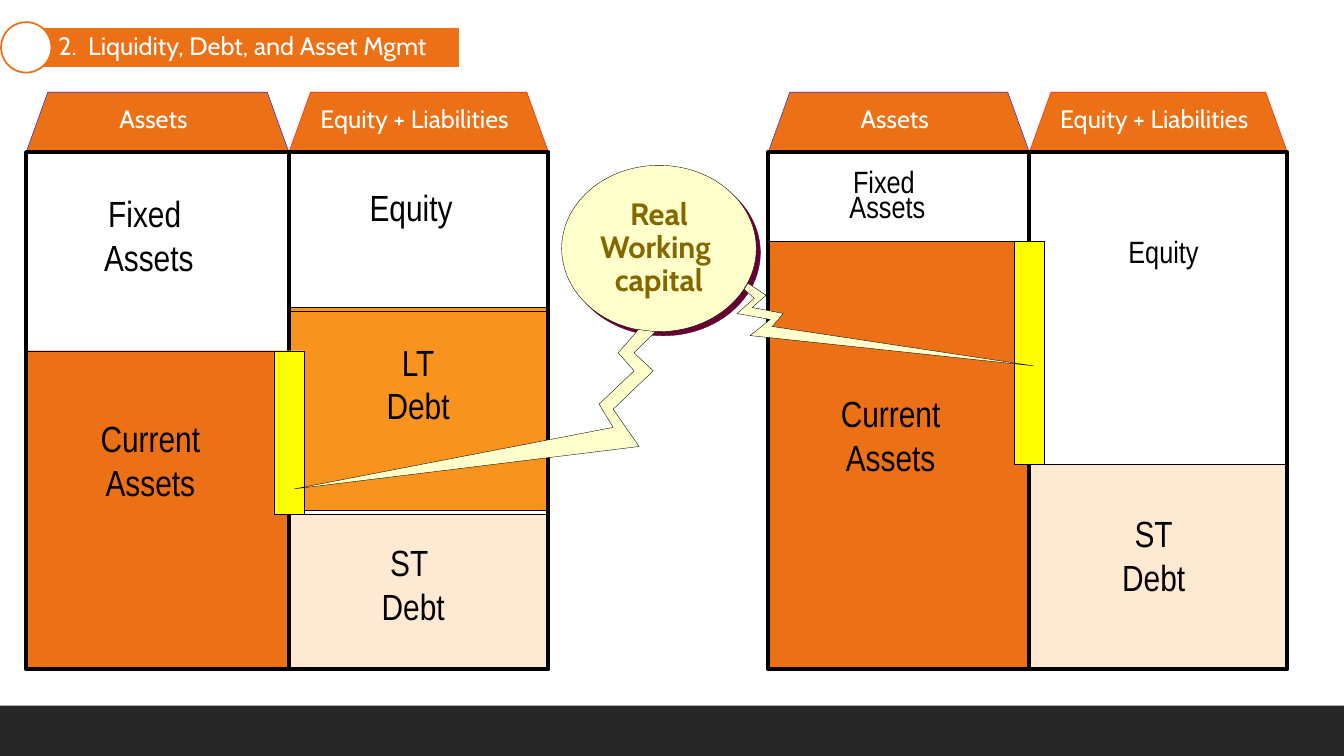
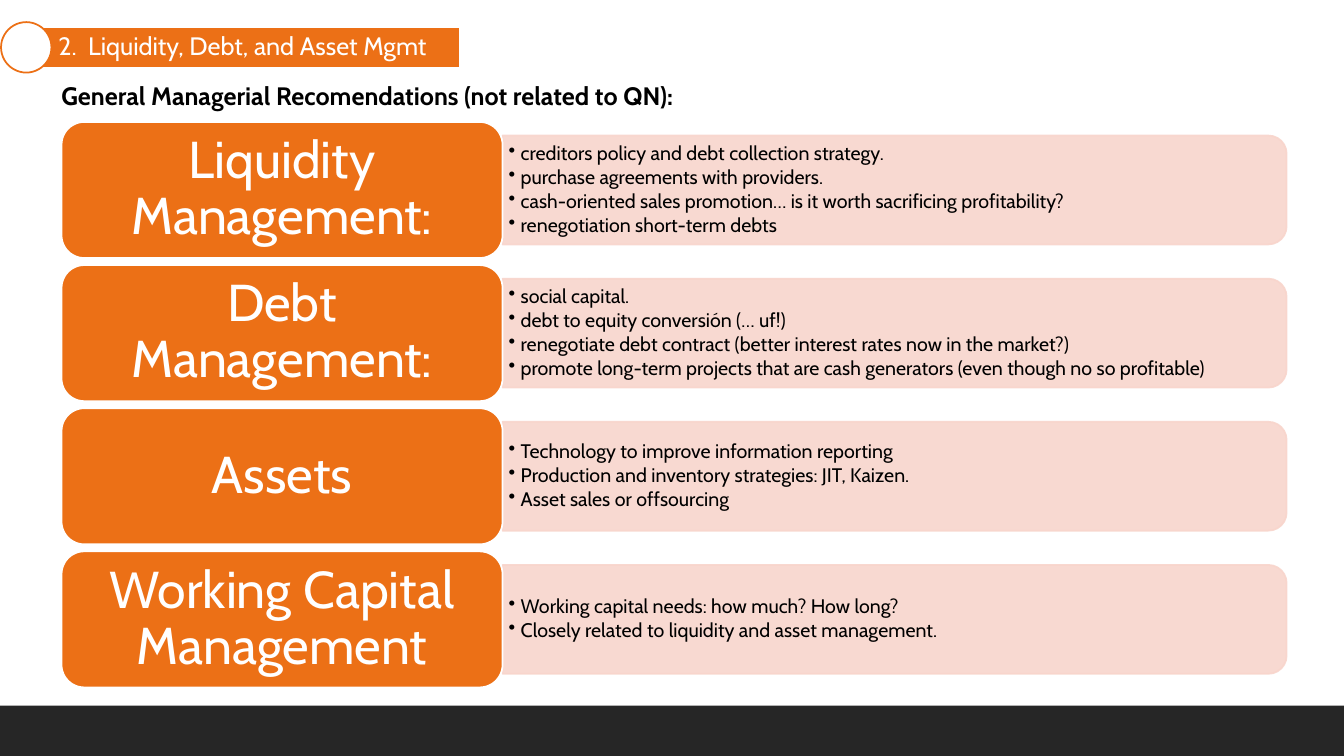
from collections import namedtuple

from lxml import etree
from pptx import Presentation
from pptx.dml.color import RGBColor
from pptx.enum.shapes import MSO_SHAPE
from pptx.enum.text import MSO_ANCHOR, MSO_AUTO_SIZE, PP_ALIGN
from pptx.oxml.ns import qn
from pptx.util import Inches, Pt

RECT, OVAL, TRAPEZOID = MSO_SHAPE.RECTANGLE, MSO_SHAPE.OVAL, MSO_SHAPE.TRAPEZOID
ROUNDED, ROUND_TOP = MSO_SHAPE.ROUNDED_RECTANGLE, MSO_SHAPE.ROUND_2_SAME_RECTANGLE
LEFT, CENTER = PP_ALIGN.LEFT, PP_ALIGN.CENTER
TOP, MIDDLE = MSO_ANCHOR.TOP, MSO_ANCHOR.MIDDLE

ORANGE, AMBER, PEACH, PINK = "EC7016", "F8931D", "FEE9D2", "F8D5CC"
WHITE, BLACK, DARK, YELLOW = "FFFFFF", "000000", "262626", "FFFF00"
CREAM, OLIVE, PLUM, RED, BLUE = "FFFFCC", "846700", "660033", "FF0000", "0000FF"
SANS, NARROW = "Cabin", "Arial Narrow"
THIN, MEDIUM, THICK = 0.25, 1.25, 2.88
TITLE = "2.  Liquidity, Debt, and Asset Mgmt"


class Box(namedtuple("Box", "x y w h")):
    """A rectangle in inches."""

    def share(self, x, y, w, h):
        """Return the box at the given percentages of this one."""
        return Box(self.x + self.w * x / 100, self.y + self.h * y / 100,
                   self.w * w / 100, self.h * h / 100)

    def turned(self):
        """Return the box with the same centre and swapped sides."""
        return Box(self.x + (self.w - self.h) / 2, self.y + (self.h - self.w) / 2,
                   self.h, self.w)

    def emu(self):
        """Return the four lengths for python-pptx."""
        return [Inches(v) for v in self]


SLIDE = Box(0, 0, 13.33, 7.5)
Account = namedtuple("Account", "text col top bottom fill size text_x text_y spacing",
                     defaults=[1])

SHEETS = [
    (SLIDE.share(1.95, 20.13, 38.86, 68.4), (38.4, 70), [
        Account("ST \nDebt", 1, 70, 100, PEACH, 26, 47.9, 75),
        Account("LT\nDebt", 1, 30, 69.2, AMBER, 26, 49.8, 36.3),
        Account("Equity", 1, 0, 30.8, None, 26, 47.1, 6.4),
        Account("Current\nAssets", 0, 38.4, 100, ORANGE, 26, 47.3, 51.1),
        Account("Fixed \nAssets", 0, 0, 38.4, None, 26, 46.7, 7.6)]),
    (SLIDE.share(57.16, 20.13, 38.63, 68.4), (17.2, 60.3), [
        Account("Fixed \nAssets", 0, 0, 17.2, WHITE, 22, 45.6, 3.9, 0.7),
        Account("Current\nAssets", 0, 17.2, 100, ORANGE, 26, 46.9, 46.2),
        Account("ST\nDebt", 1, 60.3, 100, PEACH, 26, 48.2, 69.4),
        Account("Equity", 1, 0, 60.3, None, 22, 52, 15.6)]),
]
BOLTS = [
    (SLIDE.share(21.91, 43.6, 26.86, 21.07),
     [(95.3, 0), (89.7, 14.6), (94.1, 25.9), (84.4, 46.8), (88.3, 61.4), (0, 100),
      (95.5, 73.4), (88.3, 50), (99.4, 25.9), (94.1, 14.6), (100, 1.3)]),
    (SLIDE.share(54.84, 37.47, 22.06, 10.93),
     [(3.7, 0), (9.8, 14.6), (5.1, 29.3), (15.6, 36.6), (11.9, 52.4), (100, 100),
      (4.4, 63.4), (11.2, 43.9), (0, 36.6), (5.8, 18.3), (2.4, 7.3)]),
]
RECOMMENDATIONS = [
    ("Liquidity Management:", [
        "creditors policy and debt collection strategy.",
        "purchase agreements with providers.",
        "cash-oriented sales promotion… is it worth sacrificing profitability?",
        "renegotiation short-term debts"]),
    ("Debt Management:", [
        "social capital.",
        "debt to equity conversión (… uf!)",
        "renegotiate debt contract (better interest rates now in the market?)",
        "promote long-term projects that are cash generators (even though no so profitable)"]),
    ("Assets", [
        "Technology to improve information reporting",
        "Production and inventory strategies: JIT, Kaizen.",
        "Asset sales or offsourcing"]),
    ("Working Capital Management", [
        "Working capital needs: how much? How long?",
        "Closely related to liquidity and asset management."]),
]


def rgb(color):
    """Turn a hex string into a colour."""
    return RGBColor.from_string(color)


def paint(sp, fill, line=None, width=THIN):
    """Set the fill and outline of a shape; None means empty."""
    if fill:
        sp.fill.solid()
        sp.fill.fore_color.rgb = rgb(fill)
    else:
        sp.fill.background()
    if line:
        sp.line.color.rgb = rgb(line)
        sp.line.width = Pt(width)
    else:
        sp.line.fill.background()


def add_shape(s, kind, box, fill, line=None, width=THIN):
    """Add a painted preset shape without shadow."""
    sp = s.shapes.add_shape(kind, *box.emu())
    sp.shadow.inherit = False
    paint(sp, fill, line, width)
    return sp


def write(sp, text, size, color, font=SANS, bold=False, align=CENTER, anchor=TOP,
          insets=(0, 0, 0, 0), spacing=1, wrap=True):
    """Fill a shape with evenly formatted paragraphs, one per line."""
    tf = sp.text_frame
    tf.text = text
    tf.word_wrap = wrap
    tf.auto_size = MSO_AUTO_SIZE.NONE
    tf.vertical_anchor = anchor
    tf.margin_left, tf.margin_top, tf.margin_right, tf.margin_bottom = map(Inches, insets)
    for p in tf.paragraphs:
        p.alignment = align
        p.line_spacing = spacing
        for r in p.runs:
            r.font.name, r.font.size, r.font.bold = font, Pt(size), bold
            r.font.color.rgb = rgb(color)
    return tf


def add_bullets(tf):
    """Give every paragraph a hanging bullet."""
    for p in tf.paragraphs:
        p.space_after = Pt(2)
        pPr = p._p.get_or_add_pPr()
        pPr.set("marL", str(Inches(0.12)))
        pPr.set("indent", str(-Inches(0.12)))
        etree.SubElement(pPr, qn("a:buChar"), char="•")


def set_alpha(sp, percent):
    """Make the fill and line of a shape partly transparent."""
    for clr in sp._element.spPr.iter(qn("a:srgbClr")):
        etree.SubElement(clr, qn("a:alpha"), val=str(percent * 1000))


def add_hard_shadow(sp, color, distance):
    """Add a sharp shadow to the lower right."""
    effects = sp._element.spPr.find(qn("a:effectLst"))
    shadow = etree.SubElement(effects, qn("a:outerShdw"), dist=str(Pt(distance)),
                              dir="2700000", algn="ctr", rotWithShape="0")
    etree.SubElement(shadow, qn("a:srgbClr"), val=color)


def new_slide(prs):
    """Add a slide with the footer band and the title banner."""
    s = prs.slides.add_slide(prs.slide_layouts[5])
    add_shape(s, RECT, SLIDE.share(0, 93.33, 100, 6.67), DARK)
    title = s.shapes.title
    title.left, title.top, title.width, title.height = SLIDE.share(1.95, 3.6, 32.26, 5.33).emu()
    paint(title, ORANGE, WHITE, MEDIUM)
    write(title, TITLE, 18, WHITE, align=LEFT, anchor=MIDDLE,
          insets=(0.32, 0.05, 0.05, 0.05), spacing=0.9)
    add_shape(s, OVAL, SLIDE.share(0.08, 2.93, 3.75, 6.67), WHITE, ORANGE, MEDIUM)
    return s


def balance_sheet(s, box, gap, accounts):
    """Draw a two-column balance sheet with roofs and its working capital bar."""
    split = 50.3
    columns = [box.share(0, 0, split, 100), box.share(split, 0, 100 - split, 100)]
    for a in accounts:
        column = columns[a.col]
        add_shape(s, RECT, column.share(0, a.top, 100, a.bottom - a.top), a.fill, BLACK)
        lines = a.text.count("\n") + 1
        label = s.shapes.add_textbox(
            *column.share(a.text_x - 30, a.text_y, 60, 8.6 * lines).emu())
        write(label, a.text, a.size, BLACK, NARROW, spacing=a.spacing, wrap=False)
    roofs = zip(columns, ("Assets", "Equity + Liabilities"), (BLUE, RED))
    for column, name, line in roofs:
        roof = add_shape(s, TRAPEZOID, column.share(0, -11.6, 100, 11.6), ORANGE, line)
        roof.adjustments[0] = 0.36
        write(roof, name, 18, WHITE, insets=(0, 0.08, 0.08, 0))
        add_shape(s, RECT, column, None, BLACK, THICK)
    start, end = gap
    add_shape(s, RECT, box.share(split - 2.9, start, 5.8, end - start), YELLOW, BLACK)


def bubble(s, box):
    """Draw the round caption."""
    sp = add_shape(s, OVAL, box, CREAM, BLACK)
    add_hard_shadow(sp, PLUM, 4.2)
    write(sp, "Real\nWorking \ncapital", 22, OLIVE, bold=True, anchor=MIDDLE, spacing=0.9)


def bolt(s, box, points):
    """Draw a lightning pointer from percentages of its box."""
    corners = [box.share(x, y, 0, 0).emu()[:2] for x, y in points]
    builder = s.shapes.build_freeform(*corners[0])
    builder.add_line_segments(corners[1:], close=True)
    sp = builder.convert_to_shape()
    sp.shadow.inherit = False
    paint(sp, CREAM, BLACK)


def recommendation(s, box, heading, items):
    """Draw a heading card with its panel of bullets."""
    panel = box.share(36, 10, 64, 80)
    back = add_shape(s, ROUND_TOP, panel.turned(), PINK, PINK, MEDIUM)
    back.rotation = 90
    set_alpha(back, 90)
    text = s.shapes.add_textbox(*panel.share(0, 4.5, 99.2, 91).emu())
    add_bullets(write(text, "\n".join(items), 14, BLACK, align=LEFT, anchor=MIDDLE,
                      insets=(0.06, 0.03, 0.06, 0.03), spacing=0.9))
    card = add_shape(s, ROUNDED, box.share(0, 0, 36, 100), ORANGE, WHITE, MEDIUM)
    write(card, heading, 37, WHITE, anchor=MIDDLE,
          insets=(0.15, 0.08, 0.15, 0.08), spacing=0.9)


def working_capital_slide(prs):
    """Compare two balance sheets around the working capital caption."""
    s = new_slide(prs)
    for sheet in SHEETS:
        balance_sheet(s, *sheet)
    bubble(s, SLIDE.share(41.79, 21.87, 14.48, 22))
    for pointer in BOLTS:
        bolt(s, *pointer)


def recommendations_slide(prs):
    """List the recommendations in equal rows."""
    s = new_slide(prs)
    lead = s.shapes.add_textbox(*SLIDE.share(3.83, 10, 53.49, 5.33).emu())
    write(lead, "General Managerial Recomendations (not related to QN):", 18, BLACK,
          bold=True, align=LEFT, insets=(0.1, 0.05, 0.1, 0.05))
    area = SLIDE.share(4.58, 16.13, 91.15, 74.8)
    gap = 1.25
    height = (100 - gap * (len(RECOMMENDATIONS) - 1)) / len(RECOMMENDATIONS)
    for i, (heading, items) in enumerate(RECOMMENDATIONS):
        recommendation(s, area.share(0, i * (height + gap), 100, height), heading, items)


def main():
    """Build and save the presentation."""
    prs = Presentation()
    prs.slide_width, prs.slide_height = Inches(SLIDE.w), Inches(SLIDE.h)
    working_capital_slide(prs)
    recommendations_slide(prs)
    prs.save("out.pptx")


if __name__ == "__main__":
    main()
